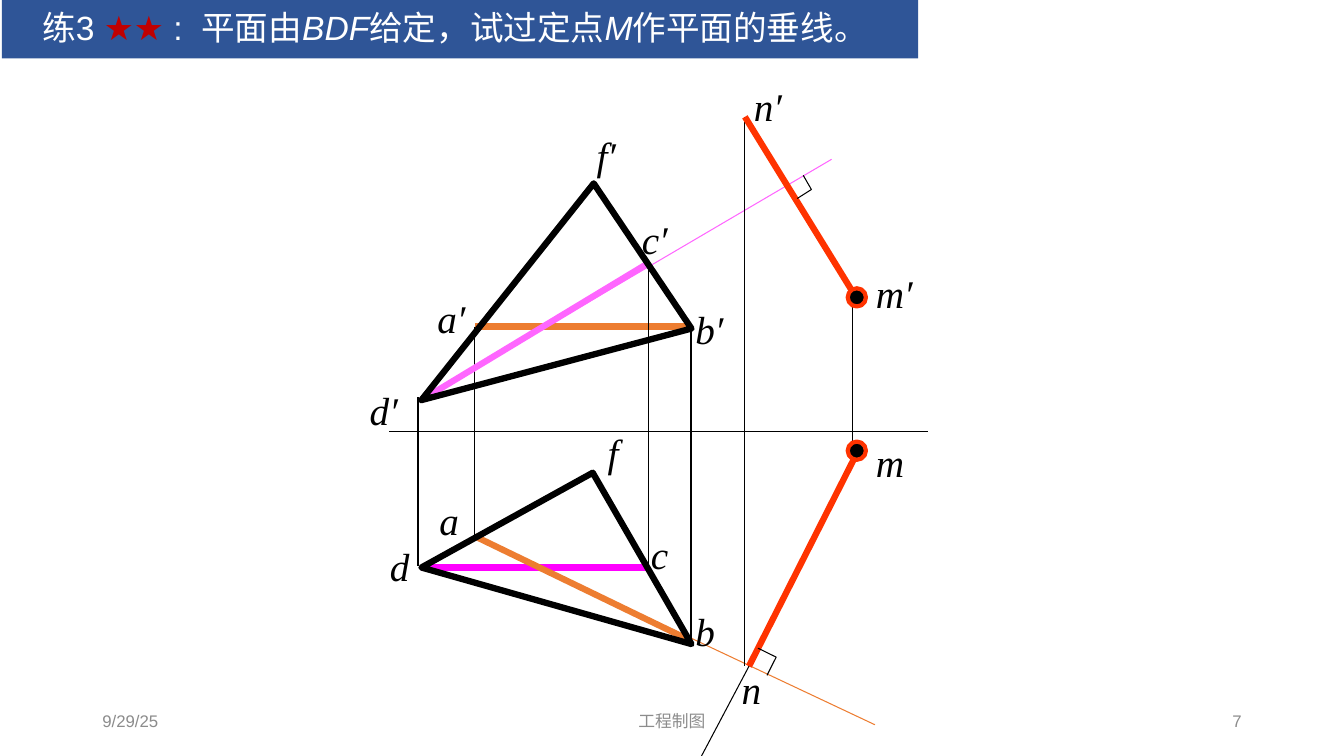
from dataclasses import dataclass
from typing import NamedTuple

from lxml import etree
from pptx import Presentation
from pptx import util as u
from pptx.dml.color import RGBColor
from pptx.enum import shapes, text
from pptx.oxml import ns


@dataclass(frozen=True)
class Theme:
    banner: str = "2F5597"
    white: str = "FFFFFF"
    stars: str = "C00000"
    footer: str = "8C8C8C"
    ink: str = "000000"
    frontal: str = "ED7D31"
    horizontal: str = "FF00FF"
    pink: str = "FF66FF"
    normal: str = "FF3300"
    sans: str = "Arial"
    serif: str = "Times New Roman"
    title_size: float = 24
    label_size: float = 28
    footer_size: float = 12
    thin: float = 0.75
    medium: float = 1.5
    dot_line: float = 3
    thick: float = 4.5


class Point(NamedTuple):
    x: float
    y: float


class Segment(NamedTuple):
    start: Point
    end: Point
    color: str
    width: float


class Outline(NamedTuple):
    points: tuple[Point, ...]
    closed: bool
    width: float


class Label(NamedTuple):
    words: str
    left: float
    top: float
    width: float = 44.6


class Dot(NamedTuple):
    left: float
    top: float


class Footer(NamedTuple):
    words: str
    left: float
    width: float
    align: text.PP_ALIGN


class TitlePart(NamedTuple):
    words: str
    color: str
    italic: bool = False


THEME = Theme()
INK, THIN, THICK = THEME.ink, THEME.thin, THEME.thick
DOT_SIZE = 13

D2, B2, F2 = Point(301, 285.8), Point(493.9, 234.7), Point(424.1, 131)
D1, B1, F1 = Point(301, 405.4), Point(493.9, 460.1), Point(423.4, 337.7)
A2, A1 = Point(339.1, 233.3), Point(339.1, 383)
C2, C1 = Point(463, 188), Point(463, 405.4)
N2, N1 = Point(532.1, 83.5), Point(535, 475.9)
M2, M1 = Point(610.6, 211), Point(613.4, 321.1)


def projector(x: float, top: float, bottom: float, width: float = THIN) -> Segment:
    return Segment(Point(x, top), Point(x, bottom), INK, width)


DRAWING = [
    Segment(Point(B2.x, A2.y), A2, THEME.frontal, THICK),
    Label("a′", 305.3, 204.5),
    Segment(D1, C1, THEME.horizontal, THICK),
    Label("c", 457.9, 373),
    projector(A1.x, A2.y, A1.y),
    Segment(A1, Point(625, 517.7), THEME.frontal, THIN),
    Segment(A1, Point(B1.x, 457.9), THEME.frontal, THICK),
    Label("a", 306.7, 348.5),
    projector(C1.x, C2.y, C1.y),
    Label("c′", 451.4, 147.6, 57.6),
    Segment(D2, Point(594, 113.8), THEME.pink, THIN),
    Segment(C2, D2, THEME.pink, THICK),
    projector(N2.x, N2.y, N1.y),
    Segment(N1, M1, THEME.normal, THICK),
    Segment(N1, Point(501.1, 540), INK, THIN),
    Label("n", 522.7, 469.4),
    Outline((Point(541.4, 463), Point(554.4, 469.4), Point(547.9, 482.4)), False, THIN),
    Segment(M2, N2, THEME.normal, THICK),
    Label("n′", 531.4, 52.6),
    Outline((Point(573.8, 125.3), Point(579.6, 135.4), Point(569.5, 141.8)), False, THIN),
    Label("m", 618.5, 307.4),
    Segment(Point(277.9, 308.2), Point(663.1, 308.2), INK, THIN),
    Outline((F2, D2, B2), True, THICK),
    Outline((F1, D1, B1), True, THICK),
    projector(609.1, M2.y, 323.3),
    Label("f′", 419, 87.8),
    Label("d′", 257, 270),
    Label("b′", 489.6, 212.4),
    Label("d", 271.4, 381.6),
    Label("b", 489.6, 427.7),
    Label("f", 427, 300.2),
    Label("m′", 618.5, 186.5),
    Dot(605.5, 205.9),
    Dot(605.5, 315.4),
    projector(298.8, 283.7, 404.6, THEME.medium),
    projector(B1.x, 231.1, 462.2, THEME.medium),
]

FOOTERS = [
    Footer("9/29/25", 66, 216, text.PP_ALIGN.LEFT),
    Footer("工程制图", 318, 324, text.PP_ALIGN.CENTER),
    Footer("7", 678, 216, text.PP_ALIGN.RIGHT),
]

TITLE = [
    TitlePart("练3", THEME.white),
    TitlePart(" ★★ ", THEME.stars),
    TitlePart(":  平面由", THEME.white),
    TitlePart("BDF", THEME.white, True),
    TitlePart("给定，试过定点", THEME.white),
    TitlePart("M", THEME.white, True),
    TitlePart("作平面的垂线。", THEME.white),
]


def style_font(font, name: str, size: float, color: str, italic: bool = False) -> None:
    font.name = name
    font.size = u.Pt(size)
    font.italic = italic
    font.color.rgb = RGBColor.from_string(color)


def style_line(line, color: str, width: float) -> None:
    line.color.rgb = RGBColor.from_string(color)
    line.width = u.Pt(width)


def draw_title(slide) -> None:
    banner = slide.shapes.title
    banner.left, banner.top, banner.width, banner.height = map(u.Pt, (1.4, 0, 654.5, 41.8))
    banner.fill.solid()
    banner.fill.fore_color.rgb = RGBColor.from_string(THEME.banner)
    frame = banner.text_frame
    frame.auto_size = text.MSO_AUTO_SIZE.NONE
    frame.vertical_anchor = text.MSO_ANCHOR.MIDDLE
    task = frame.paragraphs[0]
    properties = task._p.get_or_add_pPr()
    properties.set("marL", str(u.Pt(21.6)))
    properties.set("indent", "0")
    task.alignment = text.PP_ALIGN.LEFT
    task.line_spacing = 0.9
    for part in TITLE:
        run = task.add_run()
        run.text = part.words
        style_font(run.font, THEME.sans, THEME.title_size, part.color, part.italic)


def draw_footer(slide, footer: Footer) -> None:
    box = slide.shapes.add_textbox(*map(u.Pt, (footer.left, 500.4, footer.width, 28.8)))
    frame = box.text_frame
    frame.word_wrap = True
    frame.vertical_anchor = text.MSO_ANCHOR.MIDDLE
    frame.text = footer.words
    frame.paragraphs[0].alignment = footer.align
    style_font(frame.paragraphs[0].runs[0].font, THEME.sans, THEME.footer_size, THEME.footer)


def draw_segment(slide, segment: Segment) -> None:
    connector = slide.shapes.add_connector(
        shapes.MSO_CONNECTOR.STRAIGHT, *map(u.Pt, (*segment.start, *segment.end)))
    style_line(connector.line, segment.color, segment.width)
    etree.SubElement(connector._element.spPr, ns.qn("a:effectLst"))


def draw_outline(slide, outline: Outline) -> None:
    first, *rest = [(u.Pt(p.x), u.Pt(p.y)) for p in outline.points]
    builder = slide.shapes.build_freeform(*first)
    builder.add_line_segments(rest, close=outline.closed)
    figure = builder.convert_to_shape()
    figure.shadow.inherit = False
    figure.fill.background()
    style_line(figure.line, INK, outline.width)


def draw_label(slide, label: Label) -> None:
    box = slide.shapes.add_textbox(*map(u.Pt, (label.left, label.top, label.width, 41)))
    frame = box.text_frame
    frame.word_wrap = True
    frame.margin_top = u.Pt(6)
    frame.text = label.words
    style_font(frame.paragraphs[0].runs[0].font, THEME.serif, THEME.label_size, INK, True)


def draw_dot(slide, dot: Dot) -> None:
    mark = slide.shapes.add_shape(
        shapes.MSO_SHAPE.OVAL, *map(u.Pt, (dot.left, dot.top, DOT_SIZE, DOT_SIZE)))
    mark.shadow.inherit = False
    mark.fill.solid()
    mark.fill.fore_color.rgb = RGBColor.from_string(INK)
    style_line(mark.line, THEME.normal, THEME.dot_line)


def main() -> None:
    deck = Presentation()
    deck.slide_width, deck.slide_height = u.Pt(960), u.Pt(540)
    slide = deck.slides.add_slide(deck.slide_layouts[5])
    draw_title(slide)
    for footer in FOOTERS:
        draw_footer(slide, footer)
    painters = {Segment: draw_segment, Outline: draw_outline, Label: draw_label, Dot: draw_dot}
    for element in DRAWING:
        painters[type(element)](slide, element)
    deck.save("out.pptx")


if __name__ == "__main__":
    main()
